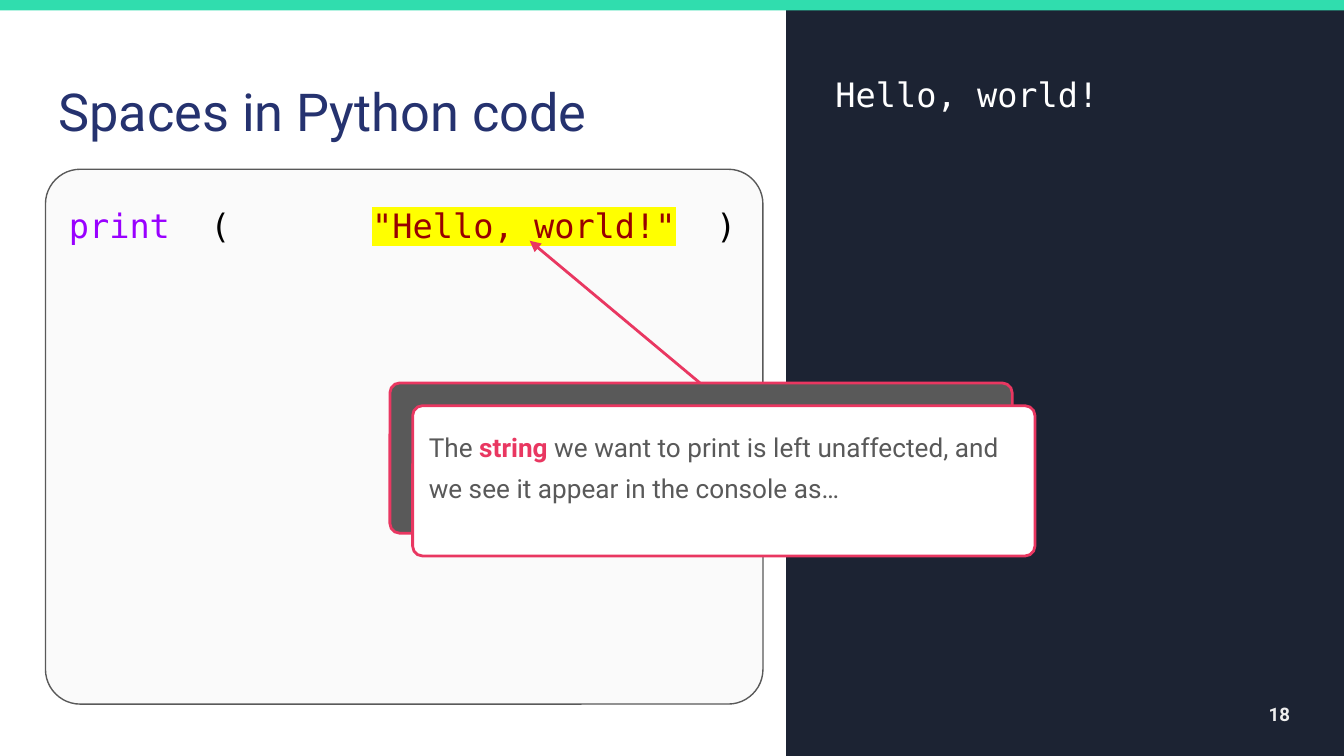
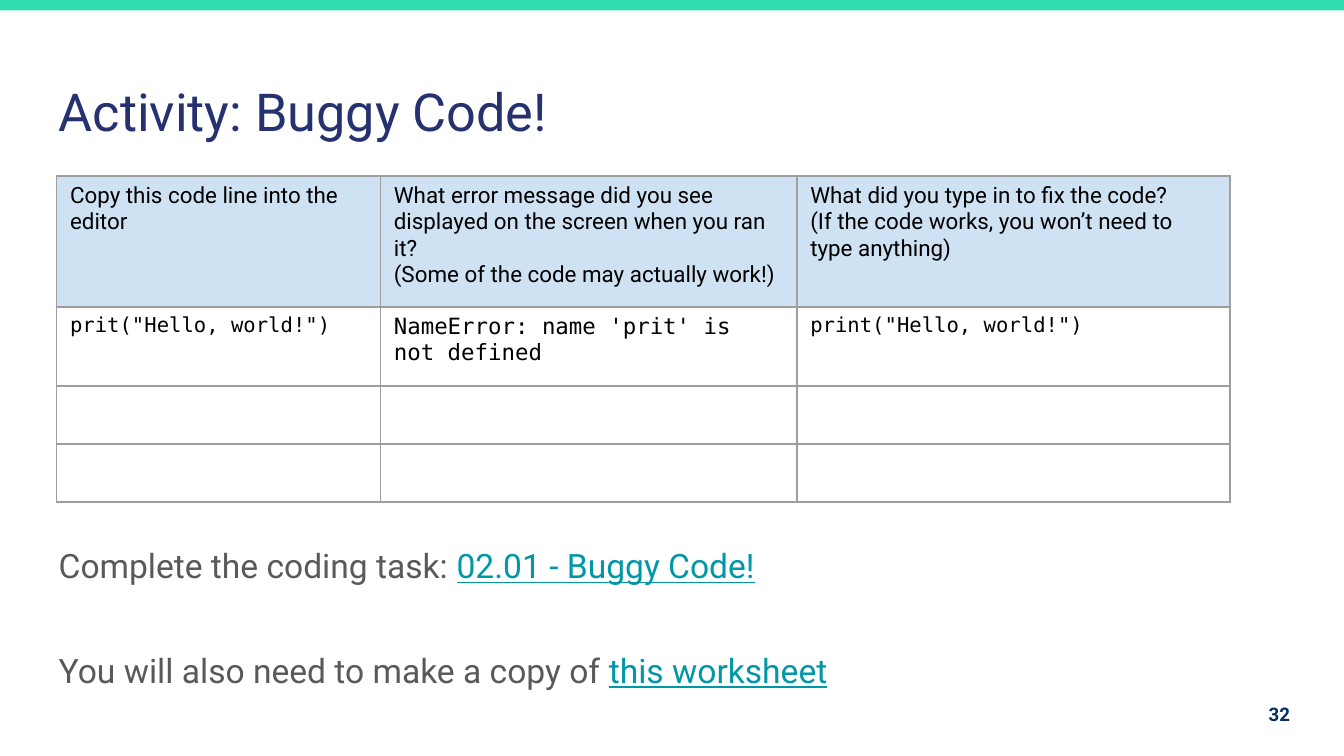
from lxml.etree import SubElement
from pptx import Presentation
from pptx.dml.color import RGBColor
from pptx.enum.shapes import MSO_CONNECTOR, MSO_SHAPE
from pptx.enum.text import MSO_ANCHOR, PP_ALIGN
from pptx.oxml.ns import qn
from pptx.util import Cm, Pt

COLORS = {
    "white": "FFFFFF", "black": "000000", "navy": "25326F", "panel": "1C2333",
    "band": "30DDAE", "code_fill": "FAFAFA", "grey": "595959", "pink": "E93761",
    "purple": "9900FF", "maroon": "980000", "yellow": "FFFF00", "link": "0097A7",
    "header": "CFE2F3", "border": "9E9E9E", "pale": "EEEEEE", "number": "032F62",
}
SANS = "Roboto"
MONO = "DejaVu Sans Mono"
INSET = Cm(0.25)
WIDTH, HEIGHT = 25.4, 14.29
LEFT = 0.86
CODE_WIDTH = 13.56


def color(name):
    return RGBColor.from_string(COLORS[name])


def add_color(parent, name):
    fill = SubElement(parent, qn("a:solidFill"))
    SubElement(fill, qn("a:srgbClr")).set("val", COLORS[name])


def add_span(para, text, size=18, font=SANS, ink="grey", bold=False,
             underline=False, highlight=None):
    span = para.add_run()
    span.text = text
    span.font.size = Pt(size)
    span.font.bold = bold
    span.font.underline = underline
    span.font.color.rgb = color(ink)
    if highlight:
        properties = span._r.get_or_add_rPr()
        mark = SubElement(properties, qn("a:highlight"))
        SubElement(mark, qn("a:srgbClr")).set("val", COLORS[highlight])
    span.font.name = font


def write(frame, paragraphs, align=PP_ALIGN.LEFT, anchor=MSO_ANCHOR.TOP,
          spacing=None, after=None, **style):
    frame.word_wrap = True
    frame.vertical_anchor = anchor
    frame.margin_left = frame.margin_right = INSET
    frame.margin_top = frame.margin_bottom = INSET
    for index, spans in enumerate(paragraphs):
        para = frame.add_paragraph() if index else frame.paragraphs[0]
        para.alignment = align
        if spacing:
            para.line_spacing = spacing
        if after:
            para.space_after = Pt(after)
        for text, changes in spans:
            add_span(para, text, **{**style, **changes})


def plain(*lines):
    return [[(line, {})] for line in lines]


def add_text(page, place, paragraphs, **style):
    box = page.shapes.add_textbox(*map(Cm, place))
    write(box.text_frame, paragraphs, **style)


def add_block(page, place, fill, line=None, weight=1.5, rounded=False):
    kind = MSO_SHAPE.ROUNDED_RECTANGLE if rounded else MSO_SHAPE.RECTANGLE
    block = page.shapes.add_shape(kind, *map(Cm, place))
    block.shadow.inherit = False
    block.fill.solid()
    block.fill.fore_color.rgb = color(fill)
    if rounded:
        block.adjustments[0] = 0.065
    if line:
        block.line.color.rgb = color(line)
        block.line.width = Pt(weight)
    else:
        block.line.fill.background()
    return block


def add_arrow(page, start, end):
    arrow = page.shapes.add_connector(MSO_CONNECTOR.STRAIGHT, *map(Cm, start + end))
    arrow.line.color.rgb = color("pink")
    arrow.line.width = Pt(1.5)
    SubElement(arrow.line._get_or_add_ln(), qn("a:tailEnd")).set("type", "triangle")
    SubElement(arrow._element.spPr, qn("a:effectLst"))


def add_callout(page, place, spans):
    left, top, width, height = place
    shift = 0.43
    add_block(page, place, "grey", "pink", rounded=True)
    add_arrow(page, (13.23, top), (10.01, 4.55))
    front = add_block(page, (left + shift, top + shift, width, height),
                      "white", "pink", rounded=True)
    write(front.text_frame, [spans], spacing=1.3, size=14)


def add_frame(page, title, number, title_width, number_ink):
    add_text(page, (LEFT, 1.24, title_width, 1.6), plain(title), size=28, ink="navy")
    add_block(page, (0, 0, WIDTH, 0.2), "band")
    add_text(page, (23.11, 12.95, 1.52, 1.09), plain(number), align=PP_ALIGN.RIGHT,
             anchor=MSO_ANCHOR.MIDDLE, size=10, bold=True, ink=number_ink)


def add_borders(cell):
    properties = cell._tc.get_or_add_tcPr()
    for side in ("lnL", "lnR", "lnT", "lnB"):
        border = SubElement(properties, qn(f"a:{side}"))
        border.set("w", str(Pt(1)))
        add_color(border, "border")


def add_table(page, left, top, widths, heights, rows):
    holder = page.shapes.add_table(len(heights), len(widths), Cm(left), Cm(top),
                                   Cm(sum(widths)), Cm(sum(heights)))
    table = holder.table
    table.first_row = table.horz_banding = False
    for column, width in zip(table.columns, widths):
        column.width = Cm(width)
    for row, height in zip(table.rows, heights):
        row.height = Cm(height)
    for row_index, row in enumerate(table.rows):
        for column_index, cell in enumerate(row.cells):
            add_borders(cell)
            cell.fill.background()
            if row_index == 0:
                cell.fill.solid()
                cell.fill.fore_color.rgb = color("header")
            if row_index < len(rows):
                lines, style = rows[row_index][column_index]
                write(cell.text_frame, plain(*lines), ink="black", **style)
            else:
                cell.margin_top = cell.margin_bottom = INSET
                ending = SubElement(cell.text_frame.paragraphs[0]._p, qn("a:endParaRPr"))
                ending.set("sz", "1400")


def build_spaces(page):
    panel_left = 14.86
    add_block(page, (panel_left, 0, WIDTH - panel_left, HEIGHT), "panel")
    add_frame(page, "Spaces in Python code", "18", CODE_WIDTH, "pale")
    editor = add_block(page, (LEFT, 3.2, CODE_WIDTH, 10.11), "code_fill", "grey",
                       weight=0.75, rounded=True)
    code = [
        ("print  ", {"ink": "purple"}),
        ("(       ", {"ink": "black"}),
        ('"Hello, world!"', {"ink": "maroon", "highlight": "yellow"}),
        ("  ", {}),
        (")", {"ink": "black"}),
    ]
    write(editor.text_frame, [code], spacing=1.3, font=MONO)
    add_callout(page, (7.37, 7.24, 11.76, 2.84), [
        ("The ", {}),
        ("string", {"ink": "pink", "bold": True}),
        (" we want to print is left unaffected, and we see it appear in the console as…", {}),
    ])
    add_text(page, (15.54, 1.14, 9.09, 10.11), plain("Hello, world!"),
             font=MONO, ink="white")


def build_activity(page):
    add_frame(page, "Activity: Buggy Code!", "32", 23.67, "number")
    heading = {"size": 12}
    code = {"size": 11, "font": MONO}
    error = {"size": 12, "font": MONO}
    rows = [
        [
            (["Copy this code line into the editor"], heading),
            (["What error message did you see displayed on the screen when you ran it?",
              "(Some of the code may actually work!)"], heading),
            (["What did you type in to fix the code?",
              "(If the code works, you won’t need to type anything)"], heading),
        ],
        [
            (['prit("Hello, world!")'], code),
            (["NameError: name 'prit' is not defined"], error),
            (['print("Hello, world!")'], code),
        ],
    ]
    add_table(page, 1.07, 3.33, (6.12, 7.87, 8.18), (2.47, 1.5, 1.09, 1.09), rows)
    link = {"ink": "link", "underline": True}
    add_text(page, (LEFT, 10.06, 16.33, 1.42),
             [[("Complete the coding task: ", {}), ("02.01 - Buggy Code!", link)]])
    add_text(page, (LEFT, 11.66, 20.83, 1.42),
             [[("You will also need to make a copy of ", {}), ("this worksheet", link)]],
             spacing=1.5, after=16)


def main():
    deck = Presentation()
    deck.slide_width, deck.slide_height = Cm(WIDTH), Cm(HEIGHT)
    for build in (build_spaces, build_activity):
        build(deck.slides.add_slide(deck.slide_layouts[6]))
    deck.save("out.pptx")


if __name__ == "__main__":
    main()
